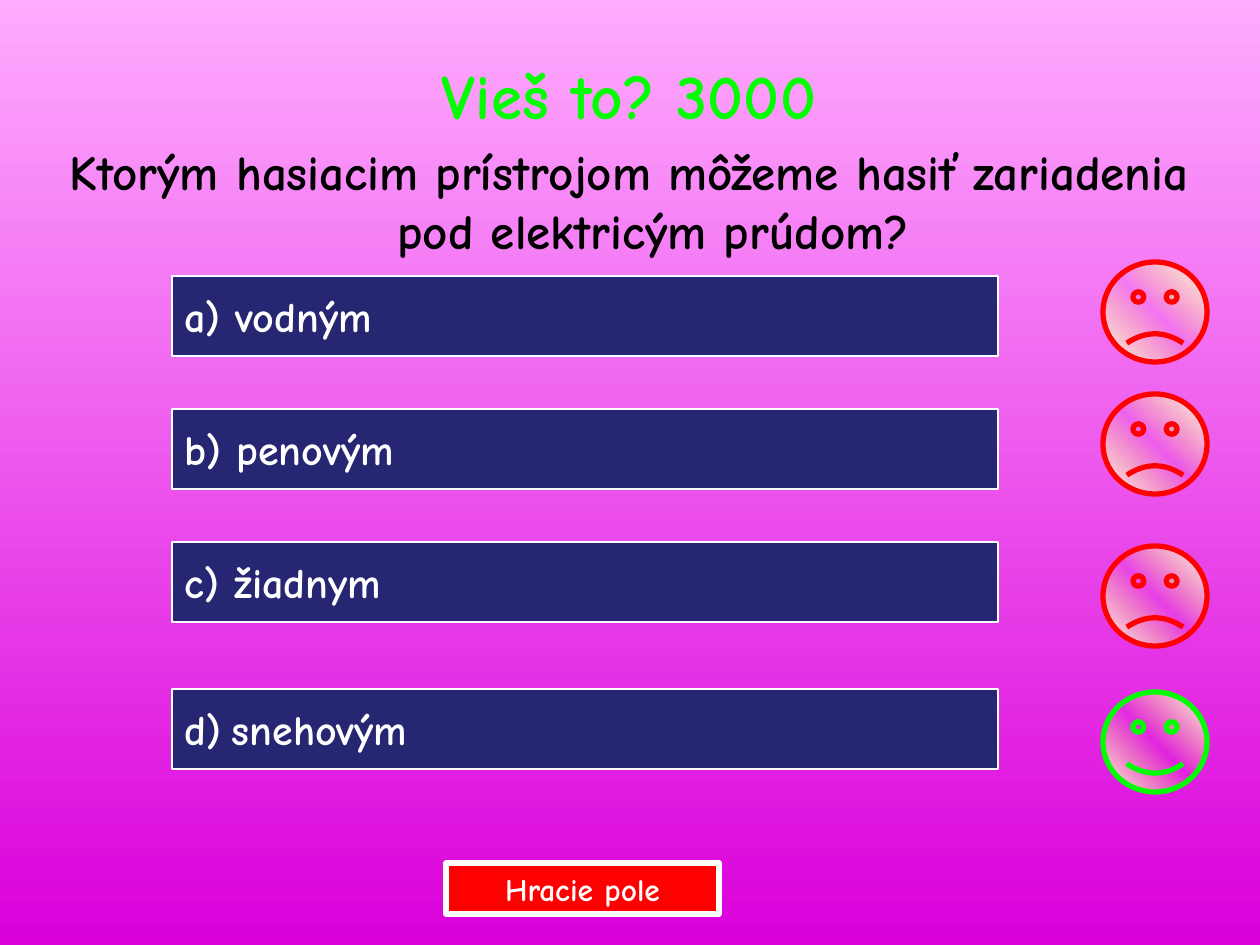
from copy import deepcopy
from dataclasses import dataclass

from lxml import etree
from pptx import Presentation
from pptx import util as u
from pptx.dml.color import RGBColor
from pptx.enum import shapes, text
from pptx.oxml.ns import qn

PX = 914400 / 126
FONT = "Comic Neue"
WHITE, RED, GREEN, NAVY = "FFFFFF", "FF0000", "00FF00", "262673"


@dataclass(frozen=True)
class Box:
    left: int
    top: int
    width: int
    height: int

    def emu(self) -> tuple[int, ...]:
        return tuple(px(n) for n in (self.left, self.top, self.width, self.height))


@dataclass(frozen=True)
class Answer:
    runs: tuple[tuple[str, int], ...]
    top: int
    face_top: int
    correct: bool = False


ANSWERS = (
    Answer((("a) vodným", 24),), 276, 262),
    Answer((("b) penovým", 24),), 409, 394),
    Answer((("c) žiadnym", 24),), 542, 546),
    Answer((("d)", 24), (" ", 17), ("snehovým", 24)), 689, 692, True),
)


def px(length: int) -> int:
    return round(length * PX)


def colour(value: str) -> RGBColor:
    return RGBColor.from_string(value)


def add_run(paragraph, wording: str, size: int, tint: str) -> None:
    run = paragraph.add_run()
    run.text = wording
    run.font.name = FONT
    run.font.size = u.Pt(size)
    run.font.bold = True
    run.font.color.rgb = colour(tint)


def set_gradient(fill, start: str, end: str, angle: int) -> None:
    fill.gradient()
    fill.gradient_angle = angle
    for stop, tint, position in zip(fill.gradient_stops, (start, end), (0, 1)):
        stop.color.rgb = colour(tint)
        stop.position = position


def add_preset(slide, preset, box: Box, outline: str, weight: float):
    shape = slide.shapes.add_shape(preset, *box.emu())
    shape.shadow.inherit = False
    shape.line.color.rgb = colour(outline)
    shape.line.width = u.Pt(weight)
    return shape


def add_button(slide, box: Box, fill: str, weight: float, runs, align) -> None:
    button = add_preset(slide, shapes.MSO_SHAPE.ACTION_BUTTON_CUSTOM, box, WHITE, weight)
    button.fill.solid()
    button.fill.fore_color.rgb = colour(fill)
    frame = button.text_frame
    frame.word_wrap = False
    frame.vertical_anchor = text.MSO_ANCHOR.MIDDLE
    frame.paragraphs[0].alignment = align
    for wording, size in runs:
        add_run(frame.paragraphs[0], wording, size, WHITE)


def add_face(slide, top: int, happy: bool) -> None:
    outline = GREEN if happy else RED
    face = add_preset(slide, shapes.MSO_SHAPE.SMILEY_FACE, Box(1103, top, 104, 100), outline, 3)
    face.adjustments[0] = 0.047 if happy else -0.047
    set_gradient(face.fill, WHITE, WHITE, 45)
    first = face._element.spPr.find(".//" + qn("a:gs"))
    middle = deepcopy(first)
    middle.set("pos", "50000")
    tint = middle.find(qn("a:srgbClr"))
    tint.set("val", "FFFF66")
    etree.SubElement(tint, qn("a:alpha")).set("val", "0")
    first.addnext(middle)


def fill_title(title) -> None:
    title.left, title.top, title.width, title.height = Box(49, 50, 1160, 95).emu()
    frame = title.text_frame
    frame.auto_size = text.MSO_AUTO_SIZE.NONE
    frame.word_wrap = True
    frame.vertical_anchor = text.MSO_ANCHOR.TOP
    lines = (
        ("Vieš to? 3000", 36, GREEN, 0),
        ("Ktorým hasiacim prístrojom môžeme hasiť zariadenia pod elektricým prúdom?",
         28, "000000", 5.6),
    )
    for index, (wording, size, tint, before) in enumerate(lines):
        paragraph = frame.add_paragraph() if index else frame.paragraphs[0]
        paragraph.alignment = text.PP_ALIGN.CENTER
        paragraph.space_before = u.Pt(before)
        properties = paragraph._p.get_or_add_pPr()
        properties.set("marL", str(px(48)))
        properties.set("indent", str(-px(48)))
        add_run(paragraph, wording, size, tint)


def main() -> None:
    deck = Presentation()
    deck.slide_width, deck.slide_height = px(1260), px(945)
    slide = deck.slides.add_slide(deck.slide_layouts[5])
    set_gradient(slide.background.fill, "FFABFF", "DA00DA", 270)
    fill_title(slide.shapes.title)
    for answer in ANSWERS:
        add_button(slide, Box(172, answer.top, 826, 80), NAVY, 1.5,
                   answer.runs, text.PP_ALIGN.LEFT)
        add_face(slide, answer.face_top, answer.correct)
    add_button(slide, Box(446, 863, 273, 51), RED, 3,
               (("Hracie pole", 18),), text.PP_ALIGN.CENTER)
    deck.save("out.pptx")


if __name__ == "__main__":
    main()
